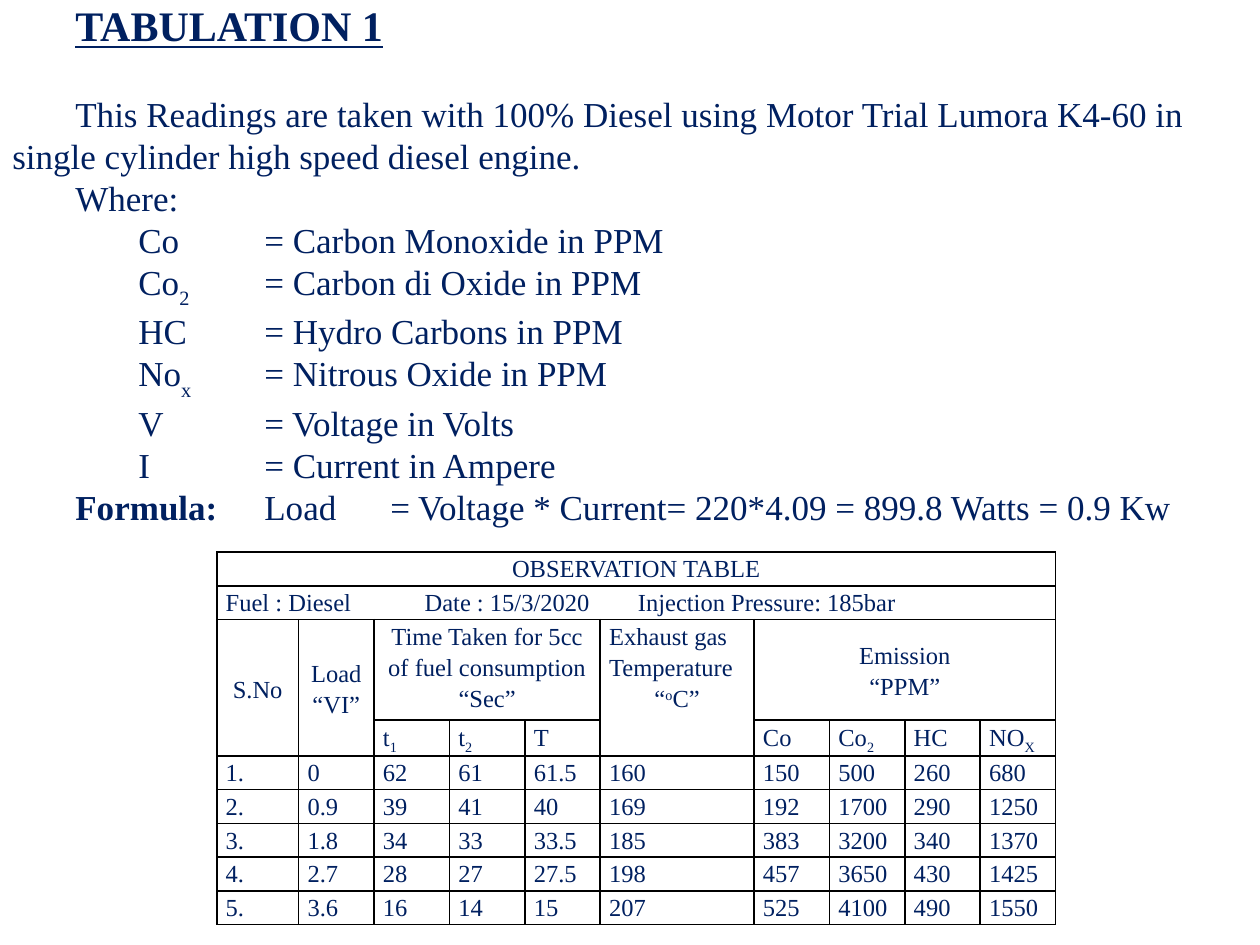
from lxml import etree
from pptx import Presentation
from pptx import util as u
from pptx.dml.color import RGBColor
from pptx.enum import text as t
from pptx.oxml import ns

FONT, NAVY, BLACK, WHITE = "Times New Roman", "002060", "000000", "FFFFFF"
MID = t.PP_ALIGN.CENTER


def paint(target, hue):
    if hasattr(target, "solid"):
        target.solid()
        target.fore_color.rgb = RGBColor.from_string(hue)
    else:
        target.color.rgb = RGBColor.from_string(hue)


def add_run(para, words, size, bold=False, line=False, base=0):
    run = para.add_run()
    run.text = words
    run.font.name, run.font.size = FONT, u.Pt(size)
    run.font.bold, run.font.underline = bold, line
    paint(run.font, NAVY)
    if base:
        run._r.get_or_add_rPr().set("baseline", str(base * 1000))


def add_runs(para, parts, size):
    """A part is plain text or a pair of text and baseline shift."""
    for part in [parts] if isinstance(parts, str) else parts:
        words, base = (part, 0) if isinstance(part, str) else part
        add_run(para, words, size, base=base)


def set_tabs(para, *stops):
    tabs = etree.SubElement(para._p.get_or_add_pPr(), ns.qn("a:tabLst"))
    for stop in stops:
        etree.SubElement(tabs, ns.qn("a:tab"), pos=str(u.Cm(stop)), algn="l")


def add_edges(cell):
    props = cell._tc.get_or_add_tcPr()
    for side in ("lnL", "lnR", "lnT", "lnB"):
        edge = etree.SubElement(props, ns.qn("a:" + side), w=str(u.Pt(1)))
        fill = etree.SubElement(edge, ns.qn("a:solidFill"))
        etree.SubElement(fill, ns.qn("a:srgbClr"), val=BLACK)


# Explanation above the table
TERMS = [
    ("Co", "", "Carbon Monoxide in PPM"),
    ("Co", "2", "Carbon di Oxide in PPM"),
    ("HC", "", "Hydro Carbons in PPM"),
    ("No", "x", "Nitrous Oxide in PPM"),
    ("V", "", "Voltage in Volts"),
    ("I", "", "Current in Ampere"),
]


def add_notes(slide, left, top, width, height):
    box = slide.shapes.add_textbox(*map(u.Cm, (left, top, width, height)))
    frame = box.text_frame
    frame.word_wrap = True
    frame.margin_top = 0
    frame.vertical_anchor = t.MSO_ANCHOR.TOP

    def add_para(first=False):
        para = frame.paragraphs[0] if first else frame.add_paragraph()
        props = para._p.get_or_add_pPr()
        props.set("marL", "0")
        props.set("indent", str(u.Cm(1.27)))
        props.set("defTabSz", str(u.Cm(2.54)))
        return para

    title = add_para(True)
    title.space_after = u.Pt(24)
    add_run(title, "TABULATION 1", 24, bold=True, line=True)
    for words in ("This Readings are taken with 100% Diesel using Motor Trial Lumora "
                  "K4-60 in single cylinder high speed diesel engine.",
                  "Where:"):
        add_run(add_para(), words, 20)

    # Symbols and their meanings
    for sign, sub, sense in TERMS:
        para = add_para()
        add_run(para, "\t" + sign, 20)
        if sub:
            add_run(para, sub, 20, base=-30)
        add_run(para, "\t= " + sense, 20)

    # Formula
    para = add_para()
    add_run(para, "Formula:", 20, bold=True)
    add_run(para, "\tLoad\t= Voltage * Current= 220*4.09 = 899.8 Watts = 0.9 Kw", 20)


# Observation table
COLS = [1.65] + [1.52] * 4 + [3.1] + [1.52] * 4
ROWS = [0.68] * 2 + [2.03] + [0.68] * 6
# row, column, rows spanned, columns spanned, centred vertically, paragraphs
HEADS = [
    (0, 0, 1, 10, False, [("OBSERVATION TABLE", MID)]),
    (1, 0, 1, 10, False,
     [("Fuel : Diesel\tDate : 15/3/2020\tInjection Pressure: 185bar", None)]),
    (2, 0, 2, 1, True, [("S.No", MID)]),
    (2, 1, 2, 1, True, [("Load", MID), ("“VI”", MID)]),
    (2, 2, 1, 3, False, [("Time Taken for 5cc of fuel consumption “Sec”", MID)]),
    (2, 5, 2, 1, False,
     [("Exhaust gas Temperature", None), (["“", ("o", 30), "C”"], MID)]),
    (2, 6, 1, 4, True, [("Emission", MID), ("“PPM”", MID)]),
]
SUBS = {2: ["t", ("1", -25)], 3: ["t", ("2", -25)], 4: "T", 6: "Co",
        7: ["Co", ("2", -25)], 8: "HC", 9: ["NO", ("X", -25)]}
DATA = [
    "1. 0 62 61 61.5 160 150 500 260 680",
    "2. 0.9 39 41 40 169 192 1700 290 1250",
    "3. 1.8 34 33 33.5 185 383 3200 340 1370",
    "4. 2.7 28 27 27.5 198 457 3650 430 1425",
    "5. 3.6 16 14 15 207 525 4100 490 1550",
]


def fill_cell(cell, paras):
    for n, (parts, align) in enumerate(paras):
        frame = cell.text_frame
        para = frame.add_paragraph() if n else frame.paragraphs[0]
        para.line_spacing = 1.15
        para.alignment = align
        add_runs(para, parts, 14)


def add_grid(slide, left, top):
    shape = slide.shapes.add_table(len(ROWS), len(COLS), *map(
        u.Cm, (left, top, sum(COLS), sum(ROWS))))
    grid = shape.table
    grid.first_row = grid.horz_banding = False
    for col, size in zip(grid.columns, COLS):
        col.width = u.Cm(size)
    for row, size in zip(grid.rows, ROWS):
        row.height = u.Cm(size)
    for cell in grid.iter_cells():
        cell.margin_left = cell.margin_right = u.Cm(0.18)
        cell.margin_top = cell.margin_bottom = 0
        add_edges(cell)
        paint(cell.fill, WHITE)

    # Merged headings
    for row, col, down, across, mid, paras in HEADS:
        cell = grid.cell(row, col)
        cell.merge(grid.cell(row + down - 1, col + across - 1))
        if mid:
            cell.vertical_anchor = t.MSO_ANCHOR.MIDDLE
        fill_cell(cell, paras)
    set_tabs(grid.cell(1, 0).text_frame.paragraphs[0], 4.01, 8.31)

    # Column names and readings
    for col, parts in SUBS.items():
        fill_cell(grid.cell(3, col), [(parts, None)])
    for row, line in enumerate(DATA, 4):
        for col, value in enumerate(line.split()):
            fill_cell(grid.cell(row, col), [(value, None)])


deck = Presentation()
deck.slide_width, deck.slide_height = u.Cm(25.4), u.Cm(19.05)
page = deck.slides.add_slide(deck.slide_layouts[6])
paint(page.background.fill, WHITE)
add_grid(page, 4.37, 11.13)
add_notes(page, 0, 0, 25.4, 11.46)
deck.save("out.pptx")
